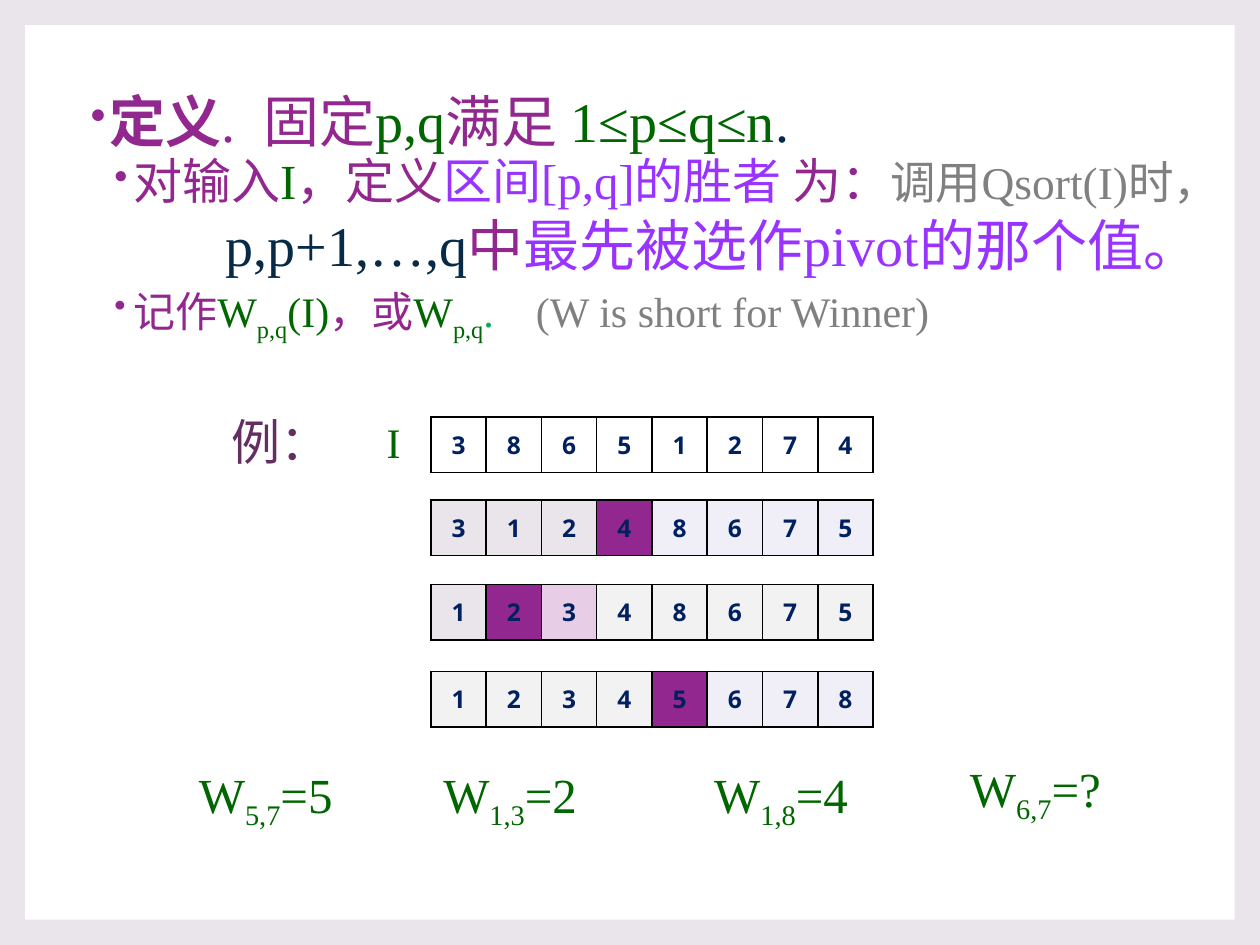
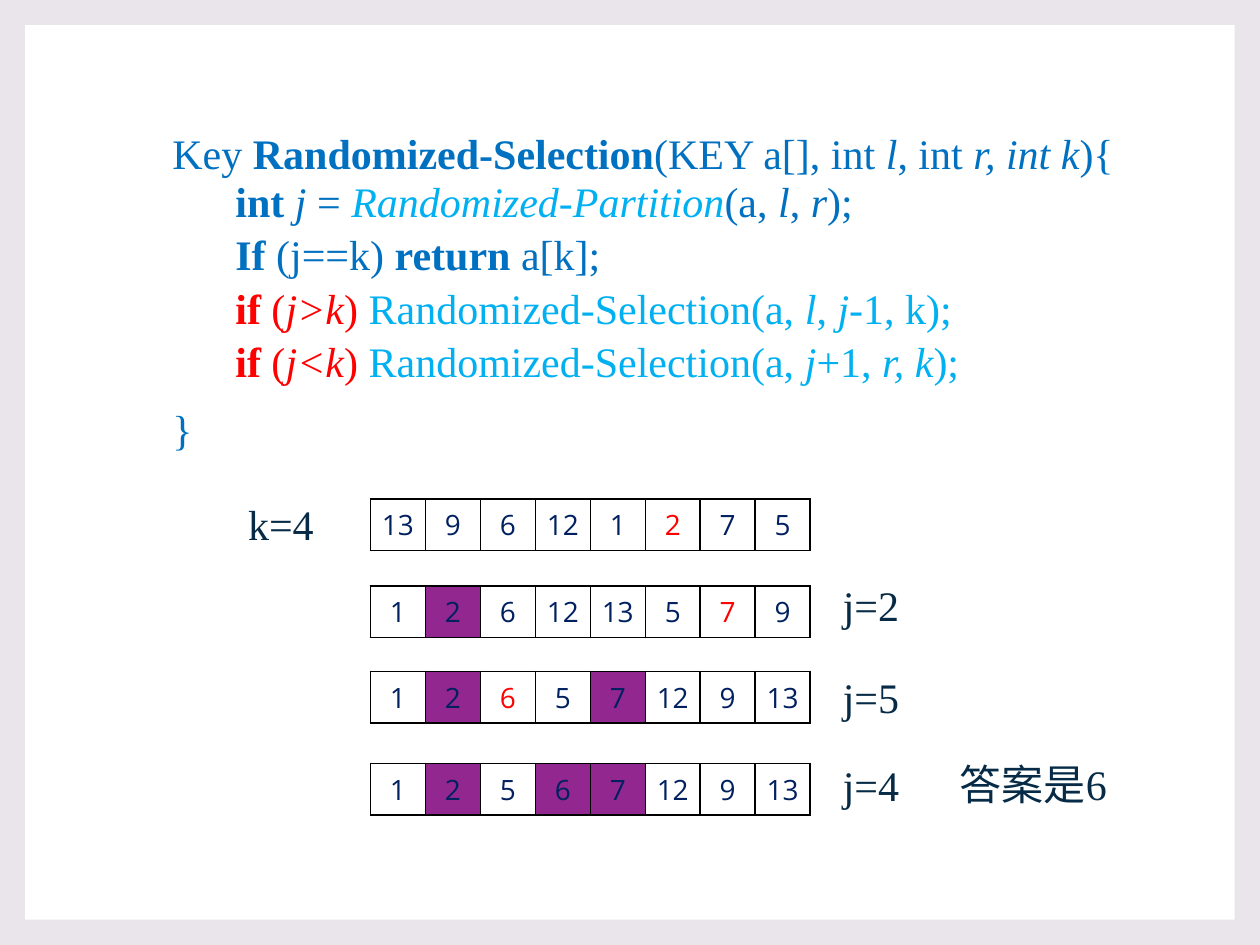
from dataclasses import dataclass
from typing import NamedTuple

from lxml.etree import SubElement
from pptx import Presentation
from pptx.dml.color import RGBColor
from pptx.enum.shapes import MSO_SHAPE
from pptx.enum.text import MSO_ANCHOR, MSO_AUTO_SIZE, PP_ALIGN
from pptx.oxml.ns import qn
from pptx.util import Inches, Pt


@dataclass(frozen=True)
class Theme:
    """Colours, fonts and type sizes shared by both slides."""
    back: str = "EAE5EB"
    white: str = "FFFFFF"
    black: str = "000000"
    purple: str = "92278F"
    plum: str = "632E62"
    violet: str = "9933FF"
    pink: str = "E8CDE7"
    lilac: str = "F0EFF8"
    pale: str = "F2F2F2"
    gray: str = "808080"
    green: str = "006600"
    lime: str = "00B050"
    ink: str = "072B46"
    navy: str = "002060"
    blue: str = "0070C0"
    sky: str = "00B0F0"
    red: str = "FF0000"
    serif: str = "Times New Roman"
    sans: str = "Open Sans"
    large: int = 32
    medium: int = 28
    note: int = 26
    small: int = 24
    cell: int = 16
    cell_bold: int = 14


T = Theme()
COLS, ROWS = 100, 75
WIDTH, HEIGHT = Inches(10), Inches(7.5)
FILLS = {"w": T.white, "p": T.purple, "l": T.back, "v": T.lilac,
         "k": T.pink, "g": T.pale}


class Box(NamedTuple):
    """Left, top, width and height in grid columns and rows."""
    x: float
    y: float
    w: float
    h: float


class Run(NamedTuple):
    """Text in one style; gap widens its last space by that many points."""
    text: str
    color: str
    size: int = T.small
    style: str = ""
    gap: float = 0
    font: str = T.serif


class Level(NamedTuple):
    """Paragraph layout: indents in columns, spacing in points."""
    margin: float = 0
    hang: float = 0
    before: float = 0
    after: float = 0
    line: float = 1
    bullet: bool = False


class Para(NamedTuple):
    """One paragraph of runs."""
    level: Level
    runs: list[Run]


class Array(NamedTuple):
    """One state of the array: its row, values, fill keys and red index."""
    y: float
    values: str
    fills: str
    red: int = -1


class Grid(NamedTuple):
    """Look shared by the arrays of one slide."""
    x: float
    w: float
    h: float
    size: int
    bold: bool
    inset: float


PLAIN = Level()
HEAD = Level(before=10, line=0.9)
HEAD_DOT = Level(1.9, -1.5, 10, 0, 0.9, True)
ITEM_DOT = Level(3.8, -1.5, 1.5, 3, 0.9, True)
DEEP = Level(10, 0, 1.5, 3, 0.9)
CODE = Level(5, 0, 1.5, 3, 0.9)


def col(n: float) -> int:
    """Length of n grid columns."""
    return round(WIDTH * n / COLS)


def row(n: float) -> int:
    """Length of n grid rows."""
    return round(HEIGHT * n / ROWS)


def place(box: Box) -> tuple[int, int, int, int]:
    """Slide position of a grid box."""
    return col(box.x), row(box.y), col(box.w), row(box.h)


def rgb(color: str) -> RGBColor:
    """Colour object for a hex string."""
    return RGBColor.from_string(color)


def add_run(p, run: Run) -> None:
    """Append a run; style letters are b(old), i(talic) and s(ubscript)."""
    r = p.add_run()
    r.text = run.text
    r.font.name, r.font.size = run.font, Pt(run.size)
    r.font.color.rgb = rgb(run.color)
    r.font.bold, r.font.italic = "b" in run.style, "i" in run.style
    if "s" in run.style:
        r._r.get_or_add_rPr().set("baseline", "-25000")
    if run.gap:
        r._r.get_or_add_rPr().set("spc", str(round(run.gap * 100)))


def set_level(p, level: Level) -> None:
    """Apply spacing, indents and bullet to a paragraph."""
    p.line_spacing = level.line
    p.space_before, p.space_after = Pt(level.before), Pt(level.after)
    pPr = p._p.get_or_add_pPr()
    pPr.set("marL", str(col(level.margin)))
    pPr.set("indent", str(col(level.hang)))
    if level.bullet:
        SubElement(SubElement(pPr, qn("a:buClr")), qn("a:srgbClr")).set("val", T.purple)
        SubElement(pPr, qn("a:buSzPct")).set("val", "80000")
        SubElement(pPr, qn("a:buChar")).set("char", "•")


def add_text(s, box: Box, paras: list[Para], wrap: bool = True, grow: bool = False) -> None:
    """Add a text box holding the given paragraphs."""
    tf = s.shapes.add_textbox(*place(box)).text_frame
    tf.word_wrap = wrap
    tf.auto_size = MSO_AUTO_SIZE.SHAPE_TO_FIT_TEXT if grow else MSO_AUTO_SIZE.NONE
    for i, para in enumerate(paras):
        p = tf.add_paragraph() if i else tf.paragraphs[0]
        set_level(p, para.level)
        for run in para.runs:
            add_run(p, run)


def add_label(s, box: Box, *runs: Run, wrap: bool = True) -> None:
    """Add a one-line label."""
    add_text(s, box, [Para(PLAIN, list(runs))], wrap, True)


def set_borders(cell) -> None:
    """Draw thin black lines on all sides of a cell."""
    tcPr = cell._tc.get_or_add_tcPr()
    for i, side in enumerate(("lnL", "lnR", "lnT", "lnB")):
        ln = tcPr.makeelement(qn(f"a:{side}"), {"w": str(Pt(1))})
        SubElement(SubElement(ln, qn("a:solidFill")), qn("a:srgbClr")).set("val", T.black)
        tcPr.insert(i, ln)


def add_array(s, grid: Grid, array: Array) -> None:
    """Add a one-row table showing the array."""
    values = array.values.split()
    box = Box(grid.x, array.y, grid.w, grid.h)
    tbl = s.shapes.add_table(1, len(values), *place(box)).table
    tbl.first_row = tbl.horz_banding = False
    for i, (value, key) in enumerate(zip(values, array.fills)):
        cell = tbl.cell(0, i)
        cell.fill.solid()
        cell.fill.fore_color.rgb = rgb(FILLS[key])
        cell.vertical_anchor = MSO_ANCHOR.MIDDLE
        cell.margin_left = cell.margin_right = col(grid.inset)
        cell.margin_top = cell.margin_bottom = row(0.4)
        p = cell.text_frame.paragraphs[0]
        p.alignment = PP_ALIGN.CENTER
        add_run(p, Run(value, T.red if i == array.red else T.navy, grid.size,
                       "b" if grid.bold else "", font=T.sans))
        set_borders(cell)


def new_slide(prs):
    """Add a blank slide with the white panel."""
    s = prs.slides.add_slide(prs.slide_layouts[6])
    panel = s.shapes.add_shape(MSO_SHAPE.RECTANGLE, *place(Box(2, 2, 96, 71)))
    panel.shadow.inherit = False
    panel.fill.solid()
    panel.fill.fore_color.rgb = rgb(T.white)
    panel.line.fill.background()
    return s


def winner(indices: str, rest: str = "", size: int = T.small) -> list[Run]:
    """Runs for W with subscript indices."""
    runs = [Run("W", T.green, size), Run(indices, T.green, size, "s")]
    return runs + [Run(rest, T.green, size)] if rest else runs


def recursion(test: str, *args: tuple[str, str]) -> Para:
    """Code line that recurses when the test holds."""
    return Para(CODE, [Run("if", T.red, style="b"), Run(" (", T.red),
                       Run(test, T.red, style="i"), Run(") ", T.red),
                       Run("Randomized-Selection(a, ", T.sky),
                       *(Run(text, T.sky, style=style) for text, style in args)])


def winner_slide(prs) -> None:
    """Definition of the winner of an interval, with an example."""
    s = new_slide(prs)
    big, mid = T.large, T.medium
    add_text(s, Box(5.8, 7, 90.2, 22), [
        Para(HEAD_DOT, [
            Run("定义", T.purple, big, "b"), Run(".", T.purple, big),
            Run(" ", T.purple, big, gap=8), Run("固定", T.purple, big),
            Run("p,q", T.green, big), Run("满足 ", T.purple, big),
            Run("1≤p≤q≤n", T.green, big), Run(".", T.ink, big)]),
        Para(ITEM_DOT, [
            Run("对输入", T.purple, mid), Run("I", T.green, mid),
            Run("，定义", T.purple, mid), Run("区间[p,q]的胜者 ", T.violet, mid),
            Run("为：", T.purple, mid), Run("调用Qsort(I)时，", T.gray, T.note)]),
        Para(DEEP, [
            Run(" p,p+1,…,q", T.ink, big), Run("中", T.purple, big),
            Run("最先被选作pivot的那个值。", T.violet, big)]),
        Para(ITEM_DOT, [
            Run("记作", T.purple), *winner("p,q", "(I)"), Run("，或", T.purple),
            *winner("p,q"), Run(".", T.lime), Run(" ", T.lime, gap=18),
            Run("(W is short for Winner)", T.gray)]),
    ])
    grid = Grid(34.2, 35.1, 4.4, T.cell_bold, True, 0.8)
    for array in (Array(33.1, "3 8 6 5 1 2 7 4", "wwwwwwww"),
                  Array(39.7, "3 1 2 4 8 6 7 5", "lllpvvvv"),
                  Array(46.4, "1 2 3 4 8 6 7 5", "lpkggggg"),
                  Array(53.3, "1 2 3 4 5 6 7 8", "ggggpvvv")):
        add_array(s, grid, array)
    add_label(s, Box(29.7, 32.6, 3.1, 5), Run("I", T.green), wrap=False)
    add_label(s, Box(17.4, 32.2, 10.3, 5.7), Run("例：", T.plum, mid, font=T.sans))
    for x, y, indices, value in ((14.8, 60.2, "5,7", "=5"), (34.2, 60.2, "1,3", "=2"),
                                 (55.7, 60.2, "1,8", "=4"), (76, 59.7, "6,7", "=?")):
        add_label(s, Box(x, y, 14, 5.7), *winner(indices, value, mid))


def selection_slide(prs) -> None:
    """Randomized selection code, traced on an array."""
    s = new_slide(prs)

    def code(level: Level, *parts: tuple[str, str]) -> Para:
        """Code line in blue."""
        return Para(level, [Run(text, T.blue, style=style) for text, style in parts])

    call = code(CODE, ("(a, ", ""), ("l", "i"), (", ", ""), ("r", "i"), (");", "")).runs
    add_text(s, Box(12.7, 10.1, 79.3, 29.6), [
        code(HEAD, ("Key", ""), (" Randomized-Selection", "b"), ("(KEY a[], int ", ""),
             ("l", "i"), (", int ", ""), ("r, int k", "i"), ("){", "")),
        Para(CODE, [Run("int ", T.blue, style="b"), Run("j", T.blue, style="i"),
                    Run(" = ", T.blue), Run("Randomized-Partition", T.sky, style="i"),
                    *call]),
        code(CODE, ("If", "b"), (" (j==k) ", ""), ("return", "b"), (" a[k];", "")),
        recursion("j>k", ("l", "i"), (", ", ""), ("j", "i"), ("-1, k);", "")),
        recursion("j<k", ("j", "i"), ("+1, ", ""), ("r, k", "i"), (");", "")),
        code(HEAD, ("}", "")),
    ])
    grid = Grid(29.4, 34.9, 4.1, T.cell, False, 0.7)
    for array in (Array(39.6, "13 9 6 12 1 2 7 5", "wwwwwwww", 5),
                  Array(46.5, "1 2 6 12 13 5 7 9", "wpwwwwww", 6),
                  Array(53.3, "1 2 6 5 7 12 9 13", "wpwwpwww", 2),
                  Array(60.6, "1 2 5 6 7 12 9 13", "wpwppwww")):
        add_array(s, grid, array)
    for x, y, w, text in ((18.7, 39.1, 23.5, "k=4"), (65.9, 45.5, 7.8, "j=2"),
                          (65.9, 52.8, 7.8, "j=5"), (65.9, 59.8, 7.8, "j=4"),
                          (75.2, 59.7, 16.7, "答案是6")):
        add_label(s, Box(x, y, w, 5), Run(text, T.ink))


def main() -> None:
    """Build and save the presentation."""
    prs = Presentation()
    prs.slide_width, prs.slide_height = WIDTH, HEIGHT
    fill = prs.slide_master.background.fill
    fill.solid()
    fill.fore_color.rgb = rgb(T.back)
    winner_slide(prs)
    selection_slide(prs)
    prs.save("out.pptx")


if __name__ == "__main__":
    main()
